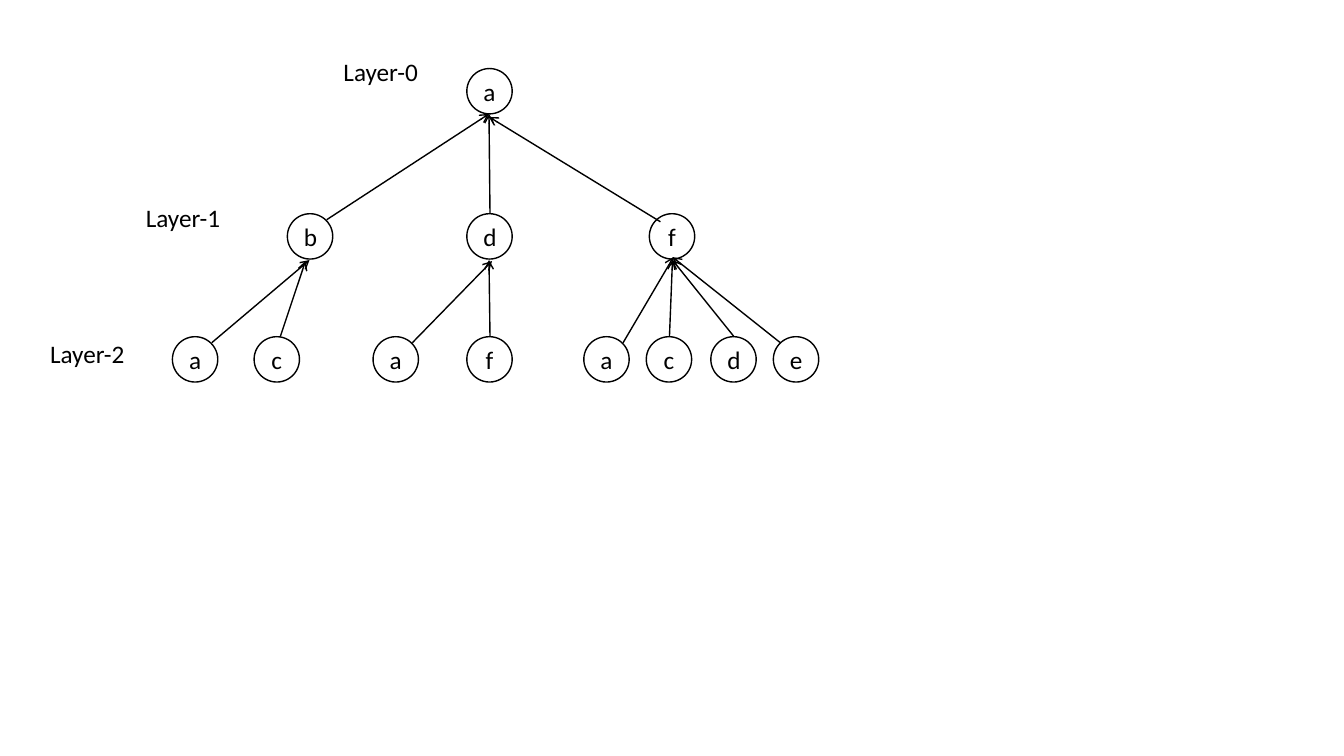
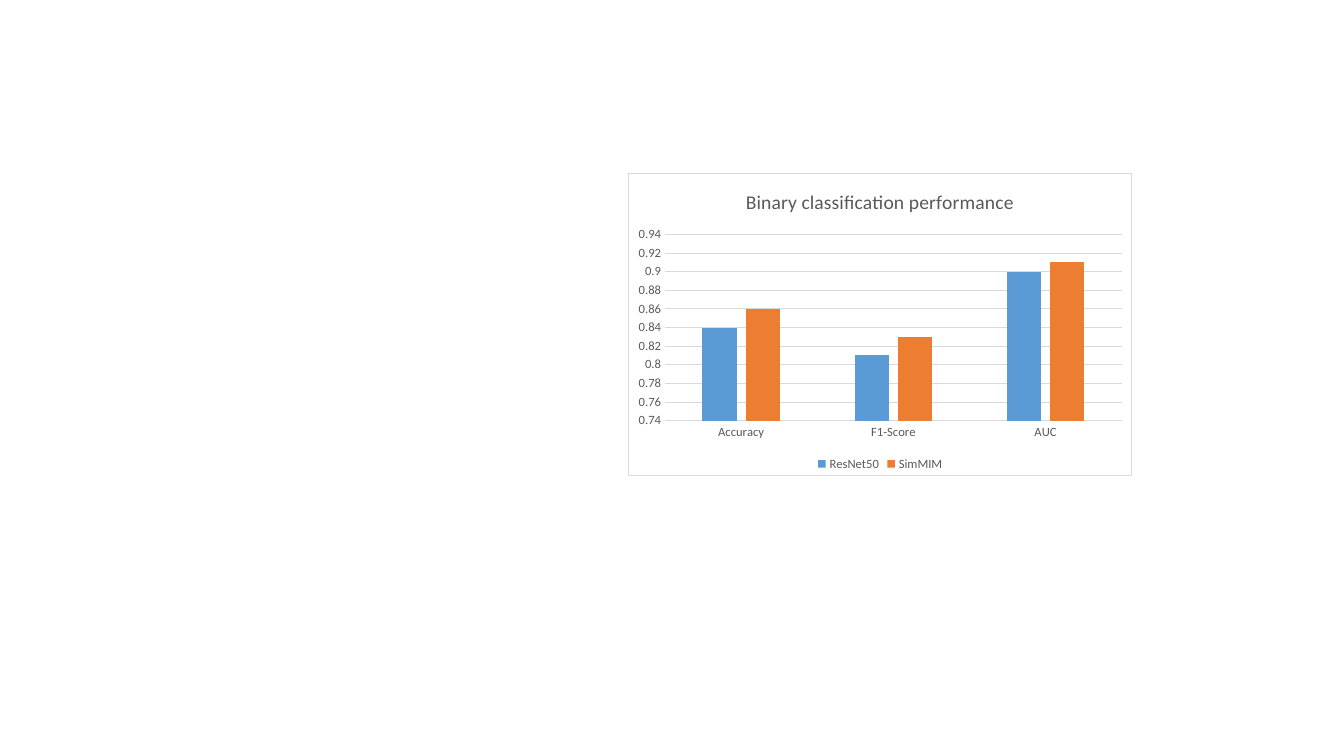
from lxml import etree
from pptx import Presentation
from pptx.chart.data import CategoryChartData
from pptx.dml.color import RGBColor
from pptx.enum.chart import XL_CHART_TYPE as CHART, XL_LEGEND_POSITION as LEGEND, XL_TICK_MARK as TICK
from pptx.enum.shapes import MSO_CONNECTOR as CONN, MSO_SHAPE as SHAPE
from pptx.enum.text import MSO_ANCHOR as ANCHOR, MSO_AUTO_SIZE as AUTO, PP_ALIGN as ALIGN
from pptx.oxml import parse_xml
from pptx.oxml.ns import nsdecls, qn
from pptx.util import Inches, Pt

FONT = "Calibri"
BLACK, WHITE, GRAY, RULE = "000000", "FFFFFF", "595959", "D9D9D9"


def rgb(value):
    return RGBColor.from_string(value)


def add_text(tf, text, size=18, color=BLACK, align=ALIGN.CENTER):
    p = tf.paragraphs[0]
    p.alignment = align
    r = p.add_run()
    r.text = text
    r.font.name = FONT
    r.font.size = Pt(size)
    r.font.color.rgb = rgb(color)


prs = Presentation()
prs.slide_width, prs.slide_height = Inches(13.33), Inches(7.5)
blank = prs.slide_layouts[6]

s = prs.slides.add_slide(blank)
DIAMETER = 0.45
TOP, RIGHT, LEFT = (0.23, 0), (0.39, 0.06), (0.07, 0.06)
layers = [
    (0.68, [("a", 4.63, None, None)]),
    (2.12, [
        ("b", 2.85, RIGHT, (4.85, 1.13)),
        ("d", 4.63, TOP, (4.85, 1.13)),
        ("f", 6.44, (0.11, 0.08), (4.85, 1.16)),
    ]),
    (3.34, [
        ("a", 1.71, RIGHT, (3.07, 2.58)),
        ("c", 2.52, (0.26, 0), (3.03, 2.59)),
        ("a", 3.7, RIGHT, (4.88, 2.59)),
        ("f", 4.63, TOP, (4.85, 2.58)),
        ("a", 5.79, RIGHT, (6.68, 2.55)),
        ("c", 6.41, TOP, (6.67, 2.58)),
        ("d", 7.05, TOP, (6.67, 2.58)),
        ("e", 7.67, LEFT, (6.67, 2.55)),
    ]),
]

for y, nodes in layers:
    for name, x, start, end in nodes:
        sp = s.shapes.add_shape(SHAPE.OVAL, Inches(x), Inches(y), Inches(DIAMETER), Inches(DIAMETER))
        sp.shadow.inherit = False
        sp.fill.solid()
        sp.fill.fore_color.rgb = rgb(WHITE)
        sp.line.color.rgb = rgb(BLACK)
        sp.line.width = Pt(1)
        sp.text_frame.vertical_anchor = ANCHOR.MIDDLE
        add_text(sp.text_frame, name)

for y, nodes in layers[1:]:
    for name, x, (dx, dy), (end_x, end_y) in nodes:
        edge = s.shapes.add_connector(
            CONN.STRAIGHT, Inches(x + dx), Inches(y + dy), Inches(end_x), Inches(end_y))
        edge.line.color.rgb = rgb(BLACK)
        edge.line.width = Pt(1)
        etree.SubElement(edge.line._get_or_add_ln(), qn("a:tailEnd"), type="arrow")
        etree.SubElement(edge._element.spPr, qn("a:effectLst"))

for i, (x, y) in enumerate([(3.07, 0.51), (1.11, 1.96), (0.16, 3.31)]):
    tf = s.shapes.add_textbox(Inches(x), Inches(y), Inches(1.41), Inches(0.4)).text_frame
    tf.word_wrap = True
    tf.auto_size = AUTO.SHAPE_TO_FIT_TEXT
    add_text(tf, f"Layer-{i}")

s = prs.slides.add_slide(blank)
data = CategoryChartData()
data.categories = ["Accuracy", "F1-Score", "AUC"]
data.add_series("ResNet50", [0.84, 0.81, 0.9])
data.add_series("SimMIM", [0.86, 0.83, 0.91])
chart = s.shapes.add_chart(
    CHART.COLUMN_CLUSTERED, Inches(6.23), Inches(1.72), Inches(5), Inches(3), data).chart
chart.font.name = FONT
chart.font.size = Pt(10)
chart.font.color.rgb = rgb(BLACK)
chart.has_title = True
add_text(chart.chart_title.text_frame, "Binary classification performance", size=14, color=GRAY)
chart.chart_title.text_frame.paragraphs[0].runs[0].font.bold = False
chart.chart_title.include_in_layout = False
chart.has_legend = True
chart.legend.position = LEGEND.BOTTOM
chart.legend.include_in_layout = False

cat_axis, val_axis = chart.category_axis, chart.value_axis
for font in (cat_axis.tick_labels.font, val_axis.tick_labels.font, chart.legend.font):
    font.name = FONT
    font.size = Pt(9)
    font.color.rgb = rgb(GRAY)
for axis in (cat_axis, val_axis):
    axis.major_tick_mark = axis.minor_tick_mark = TICK.NONE
val_axis.minimum_scale, val_axis.maximum_scale, val_axis.major_unit = 0.74, 0.94, 0.02
val_axis.has_major_gridlines = True
val_axis.format.line.fill.background()
for line in (cat_axis.format.line, val_axis.major_gridlines.format.line):
    line.color.rgb = rgb(RULE)
    line.width = Pt(0.75)

plot = chart.plots[0]
plot.gap_width, plot.overlap = 219, -27
plot.vary_by_categories = False
for series, color in zip(plot.series, ["5B9BD5", "ED7D31"]):
    series.format.fill.solid()
    series.format.fill.fore_color.rgb = rgb(color)

frame = parse_xml(
    f'<c:spPr {nsdecls("c", "a")}>'
    f'<a:solidFill><a:srgbClr val="{WHITE}"/></a:solidFill>'
    f'<a:ln w="{Pt(0.75)}"><a:solidFill><a:srgbClr val="{RULE}"/></a:solidFill></a:ln>'
    '</c:spPr>')
chart._chartSpace.find(qn("c:chart")).addnext(frame)

prs.save("out.pptx")
